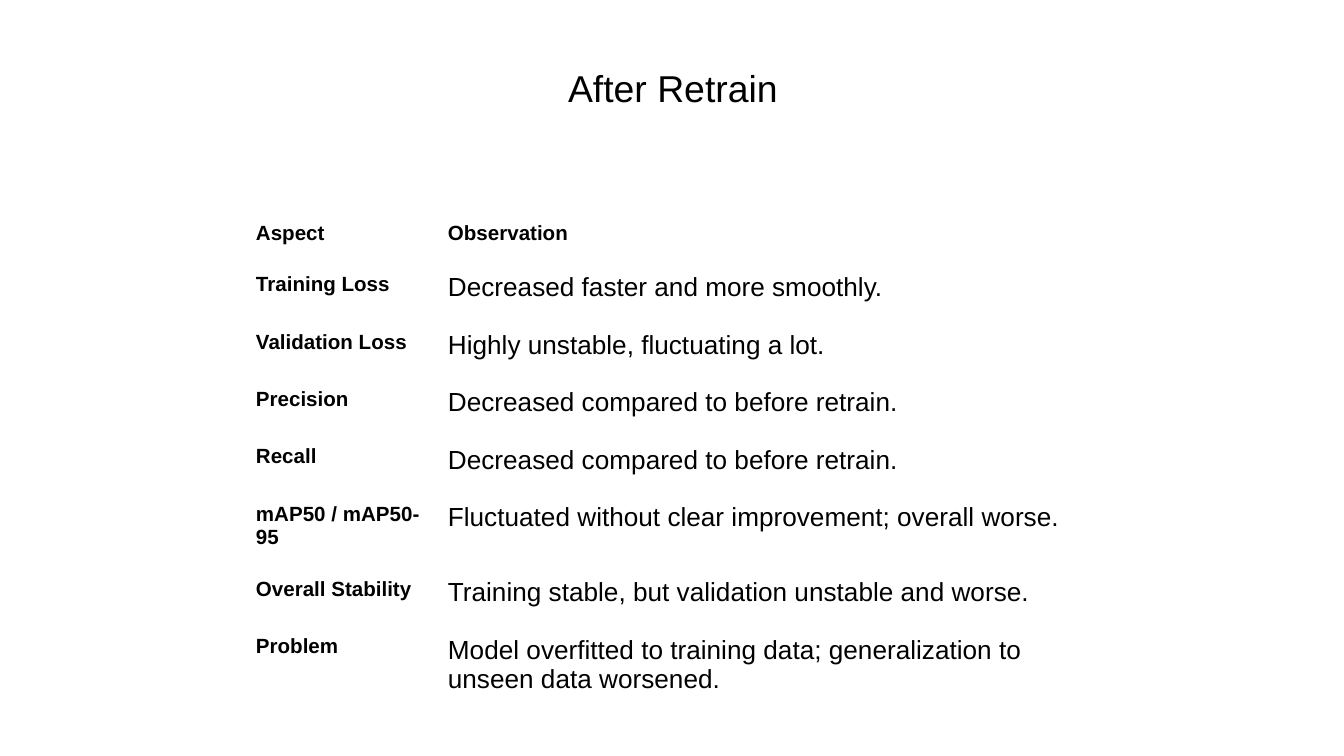
import dataclasses
import typing

import pptx
import pptx.dml.color
import pptx.enum.text
import pptx.util

SCALE = 914400 / 134.4  # EMU in one px


@dataclasses.dataclass(frozen=True)
class Theme:
    font: str = "Arial"
    ink: str = "000000"
    paper: str = "FFFFFF"
    title: int = 20
    label: int = 11
    body: int = 14


class Entry(typing.NamedTuple):
    aspect: str
    finding: str


class Box(typing.NamedTuple):
    left: int
    top: int
    width: int
    height: int


THEME = Theme()
INSET = 13
ROW = 28
COLS = (192, 665)
TITLE = Box(66, 42, 1214, 91)
GRID = Box(243, 206, sum(COLS), 8 * ROW)

HEAD = Entry("Aspect", "Observation")
ENTRIES = (
    Entry("Training Loss", "Decreased faster and more smoothly."),
    Entry("Validation Loss", "Highly unstable, fluctuating a lot."),
    Entry("Precision", "Decreased compared to before retrain."),
    Entry("Recall", "Decreased compared to before retrain."),
    Entry("mAP50 / mAP50-95", "Fluctuated without clear improvement; overall worse."),
    Entry("Overall Stability", "Training stable, but validation unstable and worse."),
    Entry("Problem", "Model overfitted to training data; generalization to unseen data worsened."),
)


def px(count: int) -> pptx.util.Emu:
    return pptx.util.Emu(round(count * SCALE))


def place(box: Box) -> list:
    return [px(side) for side in box]


def pad(item) -> None:
    """Set equal margins on a text frame or a table cell."""
    item.margin_left = item.margin_right = px(INSET)
    item.margin_top = item.margin_bottom = px(INSET)


def write(frame, text: str, *, size: int, bold: bool = False,
          align=pptx.enum.text.PP_ALIGN.LEFT, spacing: float = 1.0) -> None:
    para = frame.paragraphs[0]
    para.alignment = align
    para.line_spacing = spacing
    run = para.add_run()
    run.text = text
    run.font.name = THEME.font
    run.font.size = pptx.util.Pt(size)
    run.font.bold = bold
    run.font.color.rgb = pptx.dml.color.RGBColor.from_string(THEME.ink)


def draw_title(slide, text: str) -> None:
    frame = slide.shapes.add_textbox(*place(TITLE)).text_frame
    frame.word_wrap = True
    frame.vertical_anchor = pptx.enum.text.MSO_ANCHOR.MIDDLE
    pad(frame)
    write(frame, text, size=THEME.title, align=pptx.enum.text.PP_ALIGN.CENTER)


def draw_table(slide, head: Entry, entries: typing.Sequence[Entry]) -> None:
    rows = (head, *entries)
    table = slide.shapes.add_table(len(rows), len(COLS), *place(GRID)).table
    table.first_row = table.horz_banding = False
    for column, width in zip(table.columns, COLS):
        column.width = px(width)
    for r, entry in enumerate(rows):
        table.rows[r].height = px(ROW)
        for c, text in enumerate(entry):
            cell = table.cell(r, c)
            cell.fill.background()
            pad(cell)
            strong = r == 0 or c == 0
            write(cell.text_frame, text, bold=strong,
                  size=THEME.label if strong else THEME.body,
                  spacing=1.15 if r == 0 else 1.0)


def main() -> None:
    # Page
    deck = pptx.Presentation()
    deck.slide_width, deck.slide_height = px(1344), px(756)
    slide = deck.slides.add_slide(deck.slide_layouts[6])
    fill = slide.background.fill
    fill.solid()
    fill.fore_color.rgb = pptx.dml.color.RGBColor.from_string(THEME.paper)

    # Content
    draw_title(slide, "After Retrain")
    draw_table(slide, HEAD, ENTRIES)
    deck.save("out.pptx")


if __name__ == "__main__":
    main()
